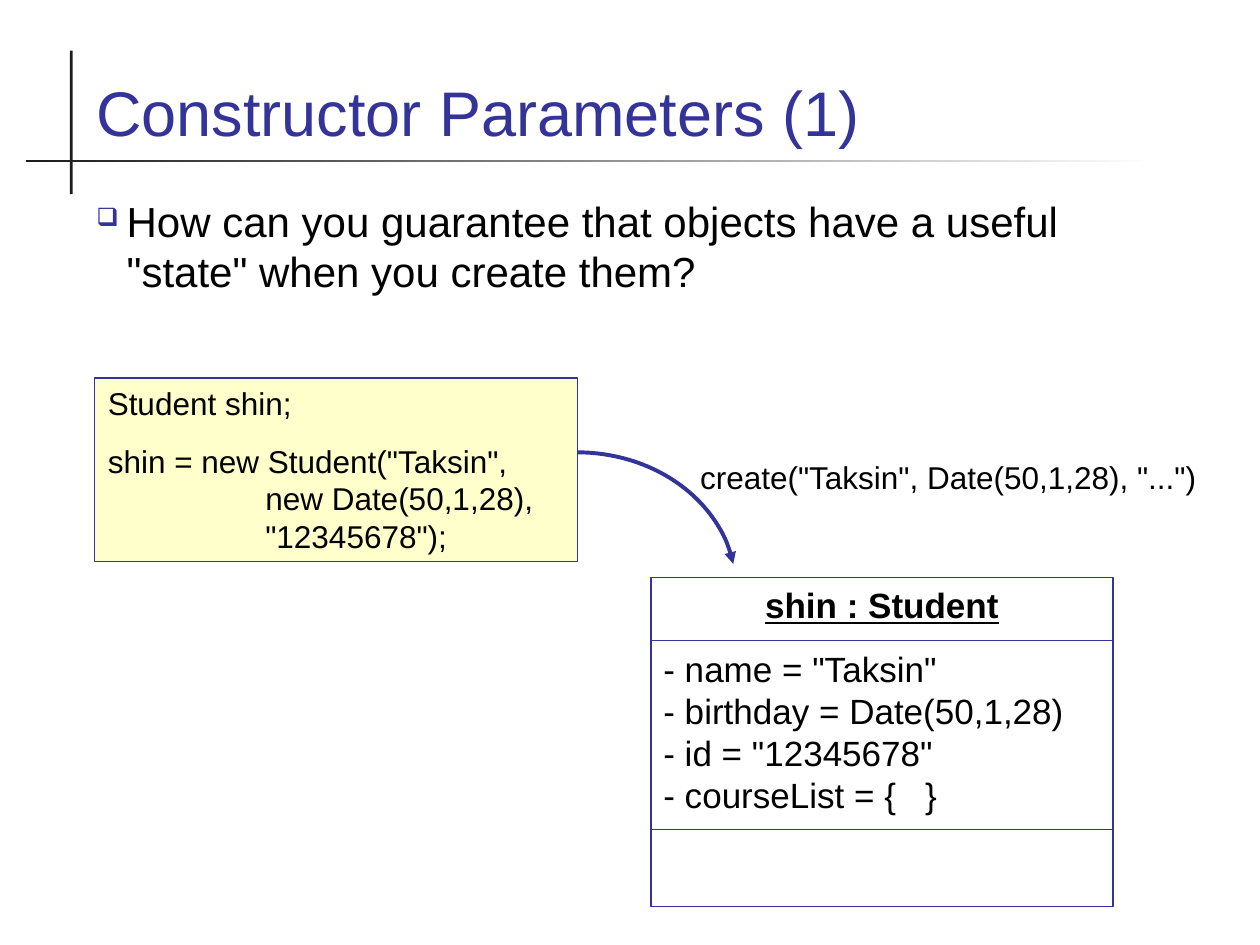
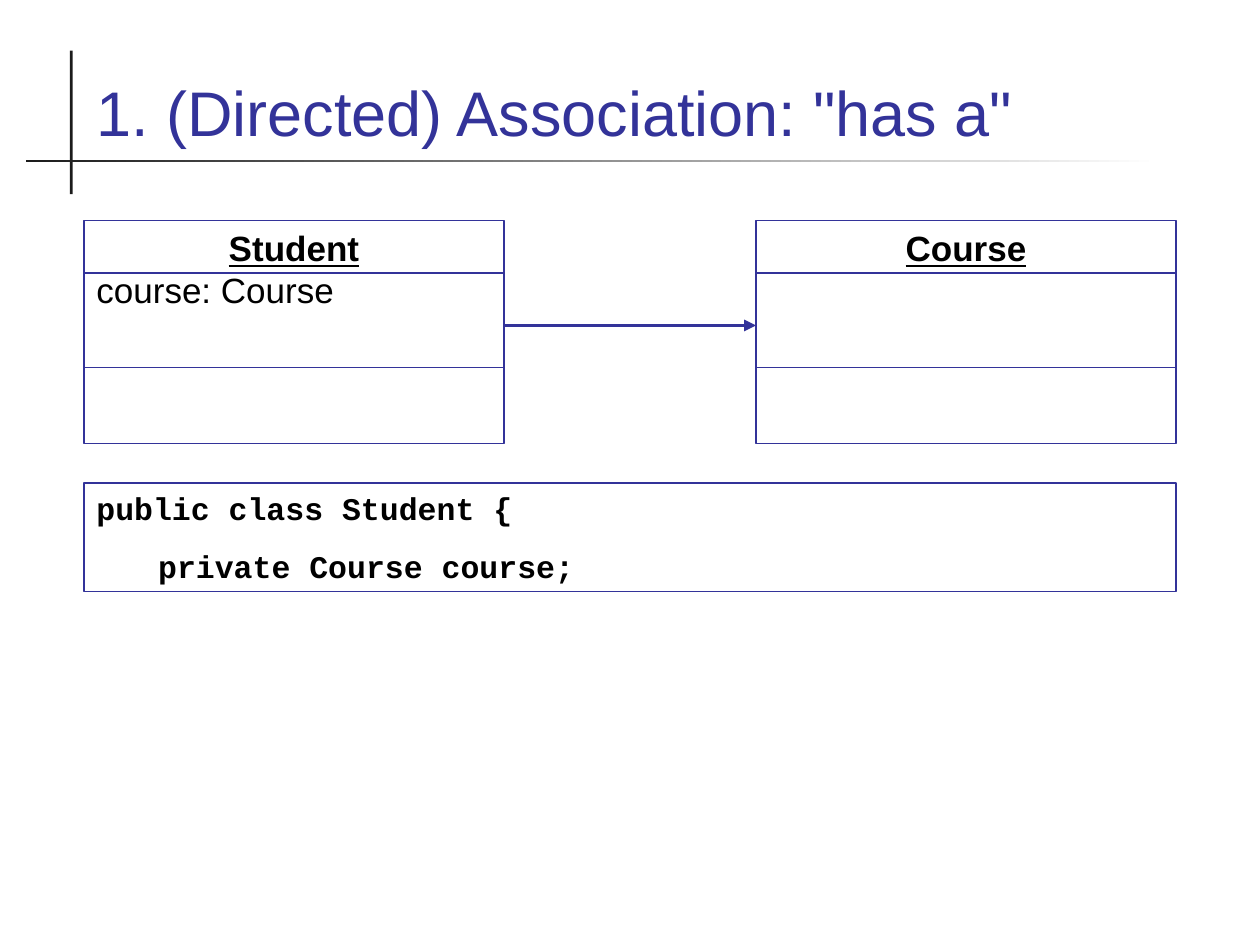
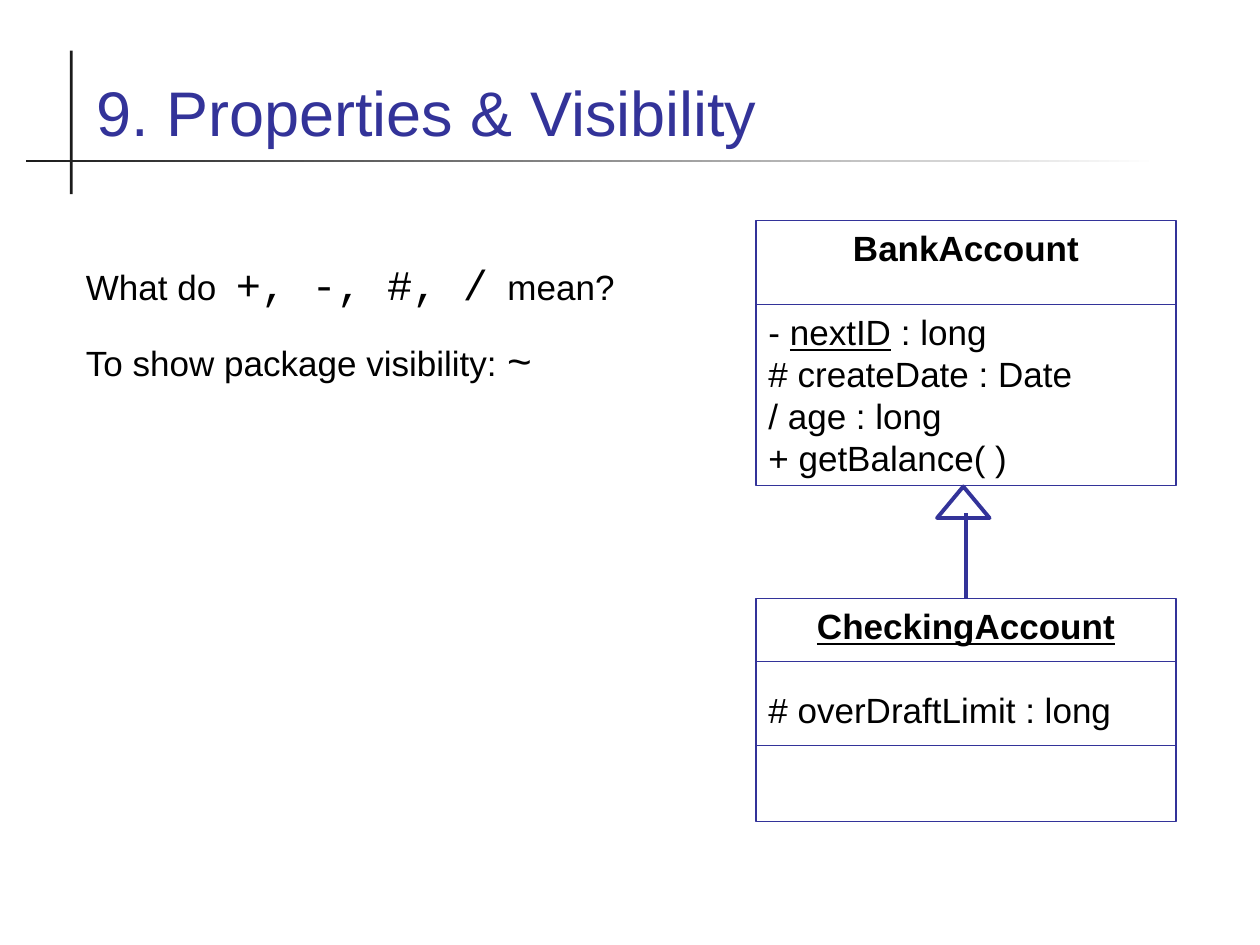
from lxml import etree
from pptx import Presentation
from pptx.dml.color import RGBColor
from pptx.enum.shapes import MSO_CONNECTOR, MSO_SHAPE
from pptx.enum.text import MSO_ANCHOR, PP_ALIGN
from pptx.oxml.ns import qn
from pptx.util import Pt

RECTANGLE, TRIANGLE, ARC = MSO_SHAPE.RECTANGLE, MSO_SHAPE.ISOSCELES_TRIANGLE, MSO_SHAPE.ARC
STRAIGHT = MSO_CONNECTOR.STRAIGHT
TOP, BOTTOM = MSO_ANCHOR.TOP, MSO_ANCHOR.BOTTOM
LEFT, CENTER = PP_ALIGN.LEFT, PP_ALIGN.CENTER

rgb = RGBColor.from_string
BLUE, BLACK, WHITE, DARK, CREAM = "333399", "000000", "FFFFFF", "1C1C1C", "FFFFCC"
SANS, MONO = "Arial", "Courier New"
THIN, THICK = 0.75, 2.25


def add_box(page, at, paragraphs=(), kind=RECTANGLE, fill=None, line=None, width=THIN, anchor=TOP):
    """Add a shape; each paragraph is (options, runs), each run (text, options)."""
    box = page.shapes.add_shape(kind, *[Pt(value) for value in at])
    box.shadow.inherit = False
    if fill:
        box.fill.solid()
        box.fill.fore_color.rgb = rgb(fill)
    else:
        box.fill.background()
    if line:
        box.line.color.rgb = rgb(line)
        box.line.width = Pt(width)
    else:
        box.line.fill.background()
    frame = box.text_frame
    frame.word_wrap = True
    frame.vertical_anchor = anchor
    for index, (options, runs) in enumerate(paragraphs):
        para = frame.add_paragraph() if index else frame.paragraphs[0]
        para.alignment = options.get("align", LEFT)
        if "before" in options:
            para.space_before = Pt(options["before"])
        margin, indent = options.get("indent", (0, 0))
        properties = para._p.get_or_add_pPr()
        properties.set("marL", str(Pt(margin)))
        properties.set("indent", str(Pt(indent)))
        if "bullet" in options:
            color = etree.SubElement(properties, qn("a:buClr"))
            etree.SubElement(color, qn("a:srgbClr"), val=BLUE)
            etree.SubElement(properties, qn("a:buSzPct"), val="60000")
            etree.SubElement(properties, qn("a:buChar"), char=options["bullet"])
        for text, style in runs:
            for number, part in enumerate(text.split("\n")):
                if number:
                    para.add_line_break()
                span = para.add_run()
                span.text = part
                span.font.name = style.get("font", SANS)
                span.font.size = Pt(style.get("size", 20))
                span.font.bold = style.get("bold", False)
                span.font.underline = style.get("underline", False)
                span.font.color.rgb = rgb(style.get("color", BLACK))
    return box


def add_line(page, start, end, width=THIN):
    line = page.shapes.add_connector(STRAIGHT, *[Pt(value) for value in start + end])
    line.line.color.rgb = rgb(BLUE)
    line.line.width = Pt(width)
    etree.SubElement(line._element.spPr, qn("a:effectLst"))
    return line


deck = Presentation()
deck.slide_width, deck.slide_height = Pt(720), Pt(540)

# Pages with their title and crossed rules
TITLES = ["Constructor Parameters (1)", '1. (Directed) Association: "has a"', "9. Properties & Visibility"]
pages = []
for title in TITLES:
    page = deck.slides.add_slide(deck.slide_layouts[6])
    add_box(page, (40, 29, 1.6, 82), fill=DARK)
    rule = add_box(page, (15, 91.3, 647, 1.6))
    rule.fill.gradient()
    rule.fill.gradient_angle = 0
    for stop, color in zip(rule.fill.gradient_stops, (DARK, WHITE)):
        stop.color.rgb = rgb(color)
    add_box(page, (48, 20, 624, 68.5), [({}, [(title, {"size": 36, "color": BLUE})])], anchor=BOTTOM)
    pages.append(page)
parameters, association, visibility = pages

# Class boxes: page, place, divider heights, name, underlined, gap below name, members
CLASSES = [
    (parameters, (372, 330, 264, 188), (366, 474), "shin : Student", True, 12.5,
     [[('- name = "Taksin"', {})], [("- birthday = Date(50,1,28)", {})],
      [('- id = "12345678"', {})], [("- courseList = {   }", {})]]),
    (association, (48, 126, 240, 127.5), (156, 210), "Student", True, 0,
     [[("course: Course", {})]]),
    (association, (432, 126, 240, 127.5), (156, 210), "Course", True, 0, []),
    (visibility, (432, 126, 240, 151.5), (174,), "BankAccount", False, 24,
     [[("- ", {}), ("nextID", {"underline": True}), (" : long", {})],
      [("# createDate : Date", {})], [("/ age : long", {})], [("+ getBalance( )", {})]]),
    (visibility, (432, 342, 240, 127.5), (378, 426), "CheckingAccount", True, 24,
     [[("# overDraftLimit : long", {})]]),
]
class_boxes = {}
for page, at, dividers, name, underlined, gap, members in CLASSES:
    paragraphs = [({"align": CENTER}, [(name, {"bold": True, "underline": underlined})])]
    for index, runs in enumerate(members):
        paragraphs.append(({"before": 0 if index else gap}, runs))
    class_boxes[name] = add_box(page, at, paragraphs, line=BLUE)
    left, right = at[0], at[0] + at[2]
    for height in dividers:
        add_line(page, (left, height), (right, height))

# Constructor parameters: question, code note and the call it makes
question = 'How can you guarantee that objects have a useful "state" when you create them?'
add_box(parameters, (48, 108, 624, 72),
        [({"indent": (17.28, -17.28), "bullet": "❑"}, [(question, {"size": 24})])])
hanging = (90.5, -90)
add_box(parameters, (54, 216, 276, 105), [
    ({"indent": hanging}, [("Student shin;", {"size": 18})]),
    ({"indent": hanging, "before": 11.2},
     [('shin = new Student("Taksin",\nnew Date(50,1,28),\n"12345678");', {"size": 18})]),
], fill=CREAM, line=BLUE)
call_arrow = add_box(parameters, (239, 258.5, 181.5, 155.5), kind=ARC, line=BLUE, width=THICK)
call_arrow.adjustments[0] = 162
call_arrow.adjustments[1] = 210.66
add_box(parameters, (393, 258, 318, 29),
        [({}, [('create("Taksin", Date(50,1,28), "...")', {"size": 18})])])

# Association: arrow between the classes and the code for it
has_arrow = add_line(association, (288, 186), (432, 186), THICK)
code = {"font": MONO, "size": 18, "bold": True}
add_box(association, (48, 276, 624, 62), [
    ({}, [("public class Student {", code)]),
    ({"indent": (35.3, 0), "before": 11.2}, [("private Course course;", code)]),
], fill=WHITE, line=BLUE)

# Visibility: inheritance arrow and the questions
inherits = add_line(visibility, (552, 342), (552, 293), THICK)
inherits.begin_connect(class_boxes["CheckingAccount"], 0)
add_box(visibility, (535.5, 278, 30, 18), kind=TRIANGLE, line=BLUE, width=THICK)
symbol = {"font": MONO, "size": 24}
add_box(visibility, (42, 144, 318, 80), [
    ({}, [("What do  ", {}), ("+, -, #, /", symbol), ("  mean?", {})]),
    ({"before": 15}, [("To show package visibility: ", {}), ("~", symbol)]),
])

# Arrowheads
for arrow in (call_arrow, has_arrow):
    outline = arrow._element.spPr.find(qn("a:ln"))
    etree.SubElement(outline, qn("a:tailEnd"), type="triangle")

deck.save("out.pptx")
